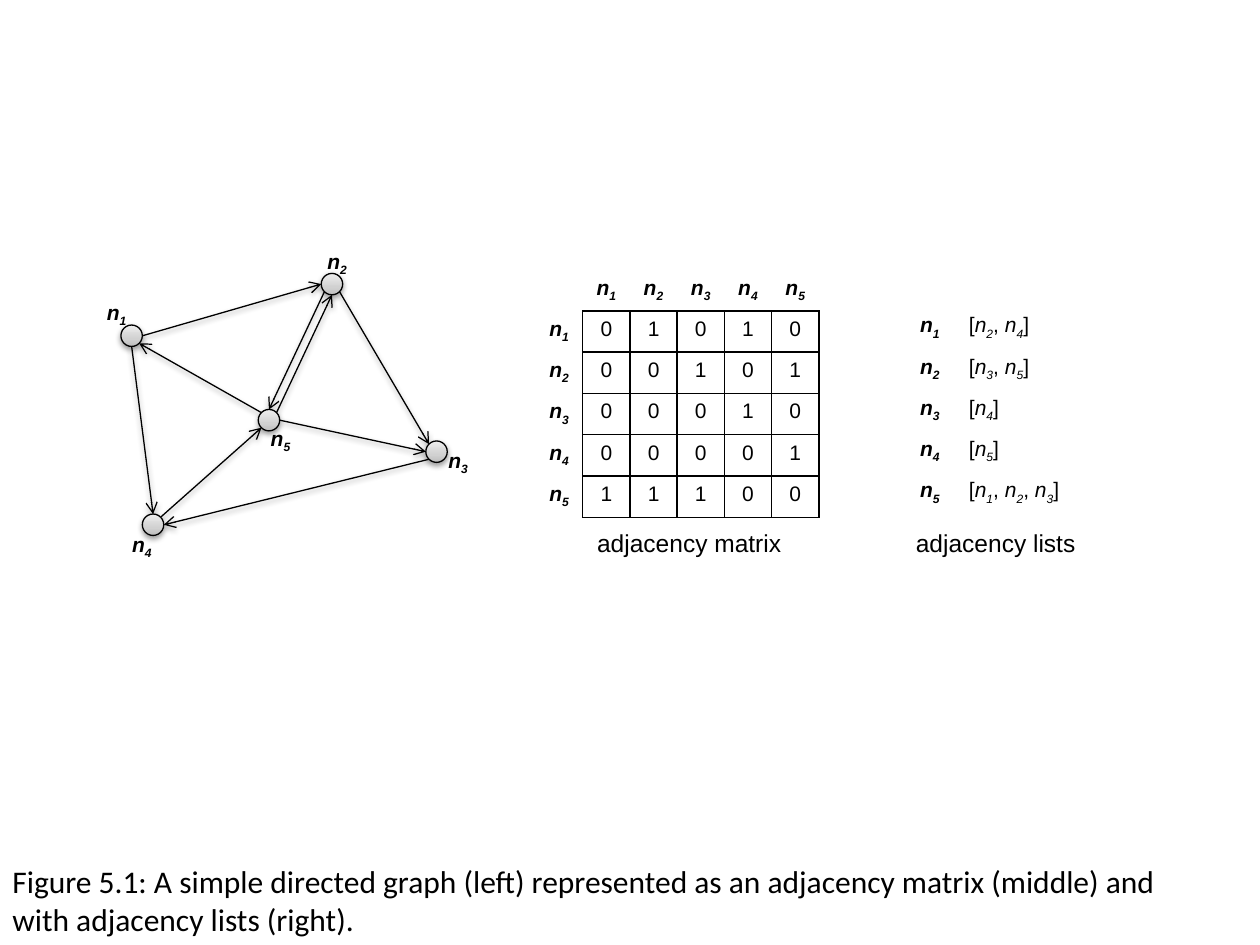
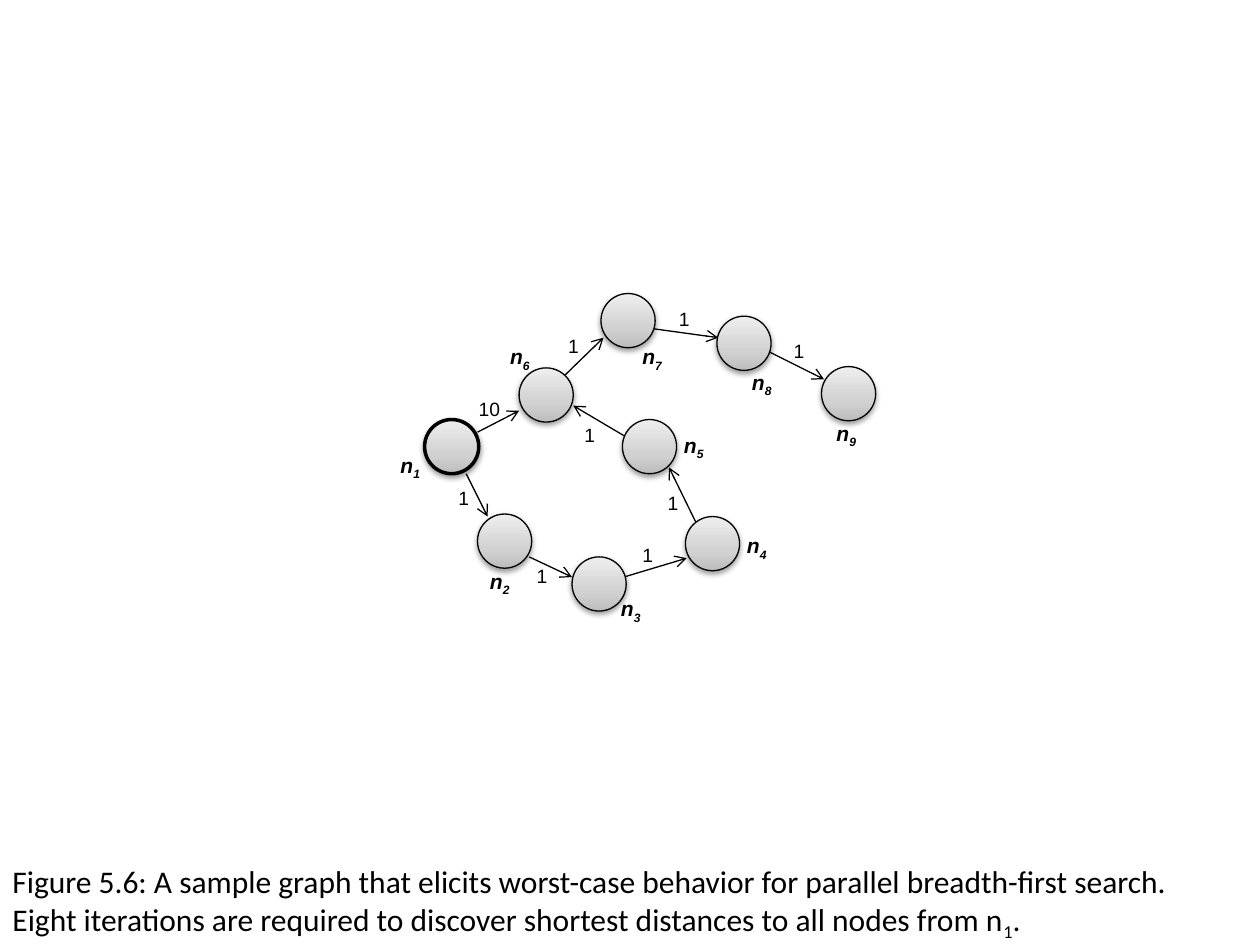
from math import cos, radians, sin

from lxml.etree import SubElement
from pptx import Presentation
from pptx.dml.color import RGBColor
from pptx.enum.shapes import MSO_CONNECTOR, MSO_SHAPE
from pptx.enum.text import MSO_AUTO_SIZE, PP_ALIGN
from pptx.oxml.ns import qn
from pptx.util import Pt

PX = 9144  # 100 px to the inch
COLORS = {"ink": "000000", "low": "BDBDBD", "mid": "D1D1D1", "high": "EEEEEE"}
STYLES = {  # font, size, bold
    "label": ("Arial", 12, True),
    "cell": ("Arial", 12, False),
    "weight": ("Arial", 11, False),
    "title": ("Arial", 14, False),
    "caption": ("Calibri", 18, False),
}
SHADES = [(0, "low"), (35, "mid"), (100, "high")]
NO_GRID = "{2D5ABB26-0587-4C30-8999-92F81FD0307C}"

# In a text, a whole number stands for a subscript.
LINKS = {1: [2, 4], 2: [3, 5], 3: [4], 4: [5], 5: [1, 2, 3]}
SIMPLE = {  # node: left, top, label left, label top
    1: (96, 258, 75, 233),
    2: (255, 217, 250, 192),
    3: (338, 350, 346, 350),
    4: (113, 408, 95, 417),
    5: (205, 325, 205, 333),
}
SITES = {  # (from, to): eighths of a turn from the top, leftwards
    (1, 2): (6, 2), (1, 4): (4, 0), (2, 3): (5, 1),
    (2, 5): (3, 0), (3, 4): (3, 6), (4, 5): (7, 3),
    (5, 1): (1, 5), (5, 2): (7, 4), (5, 3): (6, 2),
}
TITLES = [("adjacency matrix", 464, 169), ("adjacency lists", 717, 148)]
CAPTION1 = [
    ["Figure 5.1: A simple directed graph (left) represented as an adjacency matrix (middle) and"],
    ["with adjacency lists (right)."],
]

WORST = {
    1: (337, 333, 308, 354),
    2: (379, 408, 379, 446),
    3: (454, 442, 483, 468),
    4: (544, 410, 583, 418),
    5: (494, 333, 533, 338),
    6: (412, 292, 395, 268),
    7: (477, 233, 500, 268),
    8: (569, 251, 587, 288),
    9: (652, 291, 654, 329),
}
STEPS = [  # line, weight, weight left, weight top
    ((379, 343, 412, 326), "10", 370, 310),
    ((370, 376, 387, 410), "1", 354, 381),
    ((420, 442, 454, 458), "1", 416, 443),
    ((495, 458, 545, 443), "1", 500, 426),
    ((554, 418, 531, 371), "1", 520, 385),
    ((504, 351, 455, 322), "1", 454, 331),
    ((445, 301, 479, 268), "1", 441, 260),
    ((512, 260, 570, 268), "1", 529, 239),
    ((604, 276, 654, 301), "1", 620, 264),
]
CAPTION2 = [
    ["Figure 5.6: A sample graph that elicits worst-case behavior for parallel breadth-first search."],
    ["Eight iterations are required to discover shortest distances to all nodes from n", 1, "."],
]


def px(*nums):
    return [round(n * PX) for n in nums]


def ink(name):
    return RGBColor.from_string(COLORS[name])


def spell(par, parts, style):
    """Fill a paragraph; numbers become subscripts, node names slant."""
    font = par.font
    font.name, size, font.bold = STYLES[style]
    font.size = Pt(size)
    font.color.rgb = ink("ink")
    for part in parts:
        run = par.add_run()
        run.text = str(part)
        sub = isinstance(part, int)
        run.font.italic = style != "caption" and (sub or part == "n")
        if sub:
            run.font._element.set("baseline", "-25000")
    if not parts:
        SubElement(par._p, qn("a:endParaRPr"), sz=str(size * 100))


def write(canvas, lines, style, *box):
    frame = canvas.add_textbox(*px(*box)).text_frame
    frame.word_wrap = False
    frame.auto_size = MSO_AUTO_SIZE.SHAPE_TO_FIT_TEXT
    for i, parts in enumerate(lines):
        spell(frame.add_paragraph() if i else frame.paragraphs[0], parts, style)


def tint(parent, name):
    return SubElement(parent, qn("a:srgbClr"), val=COLORS[name])


def cast(props, shade):
    """End the shape properties with a soft shadow, or with none."""
    effects = SubElement(props, qn("a:effectLst"))
    if shade:
        drop = SubElement(effects, qn("a:outerShdw"), blurRad="40000", dist="20000",
                          dir="5400000", rotWithShape="0")
        SubElement(tint(drop, "ink"), qn("a:alpha"), val="38000")


def outline(shape, width):
    shape.line.color.rgb = ink("ink")
    shape.line.width = Pt(width)


def arrow(canvas, ends, shade):
    line = canvas.add_connector(MSO_CONNECTOR.STRAIGHT, *px(*ends))
    outline(line, 0.75)
    SubElement(line.line._get_or_add_ln(), qn("a:tailEnd"), type="arrow")
    cast(line.element.spPr, shade)


def circle(canvas, left, top, size, width):
    node = canvas.add_shape(MSO_SHAPE.OVAL, *px(left, top, size, size))
    props = node.element.spPr
    grad = SubElement(props, qn("a:gradFill"), rotWithShape="1")
    stops = SubElement(grad, qn("a:gsLst"))
    for pos, name in SHADES:
        tint(SubElement(stops, qn("a:gs"), pos=str(pos * 1000)), name)
    SubElement(grad, qn("a:lin"), ang="16200000", scaled="0")
    outline(node, width)
    cast(props, True)


def graph(canvas, nodes, lines, size, shade=False, start=None):
    for ends in lines:
        arrow(canvas, ends, shade)
    for num, (left, top, *spot) in nodes.items():
        circle(canvas, left, top, size, 2 if num == start else 0.75)
        write(canvas, [["n", num]], "label", *spot, 37, 30)


def site(num, eighth, size):
    """Point on the rim of a node of the simple graph."""
    turn, half = radians(90 + 45 * eighth), size / 2
    left, top = SIMPLE[num][:2]
    return left + half + half * cos(turn), top + half - half * sin(turn)


def border(cell, sides):
    props = cell._tc.get_or_add_tcPr()
    for side in sides:
        edge = SubElement(props, qn("a:ln" + side), w="12700")
        tint(SubElement(edge, qn("a:solidFill")), "ink")


def grid(canvas, rows, box, heads, sides, align):
    """Add a plain table; heads(r, c) tells labels, sides(r, c) the ruled edges."""
    table = canvas.add_table(len(rows), len(rows[0]), *px(*box)).table
    table.first_row = table.horz_banding = False
    table._tbl.tblPr.find(qn("a:tableStyleId")).text = NO_GRID
    for r, row in enumerate(rows):
        for c, parts in enumerate(row):
            cell = table.cell(r, c)
            par = cell.text_frame.paragraphs[0]
            par.alignment = align[min(c, 1)]
            spell(par, parts, "label" if heads(r, c) else "cell")
            border(cell, sides(r, c))
            cell.fill.background()
    return table


def ruled(r, c):
    return "LRTB" if r and c else "R" if r else "B" if c else ""


def listing(ends):
    parts = ["["]
    for i, end in enumerate(ends):
        parts += ([", "] if i else []) + ["n", end]
    return parts + ["]"]


def tables(canvas):
    matrix = [[[]] + [["n", num] for num in LINKS]]
    for num, ends in LINKS.items():
        matrix.append([["n", num]] + [[str(int(end in ends))] for end in LINKS])
    grid(canvas, matrix, (425, 214, 225, 183), lambda r, c: r == 0 or c == 0,
         ruled, (PP_ALIGN.CENTER, PP_ALIGN.CENTER))

    lists = [[["n", num], listing(ends)] for num, ends in LINKS.items()]
    table = grid(canvas, lists, (717, 244, 159, 153), lambda r, c: c == 0,
                 lambda r, c: "", (PP_ALIGN.CENTER, PP_ALIGN.LEFT))
    for col, width in zip(table.columns, px(42, 117)):
        col.width = width


def main():
    deck = Presentation()
    deck.slide_width, deck.slide_height = px(1000, 750)
    first, second = [deck.slides.add_slide(deck.slide_layouts[6]).shapes for _ in range(2)]

    size = 17
    lines = [site(a, i, size) + site(b, j, size) for (a, b), (i, j) in SITES.items()]
    graph(first, SIMPLE, lines, size, shade=True)
    tables(first)
    for text, left, width in TITLES:
        write(first, [[text]], "title", left, 414, width, 34)
    write(first, CAPTION1, "caption", 0, 679, 939, 71)

    group = second.add_group_shape().shapes
    graph(group, WORST, [step[0] for step in STEPS], 43, start=1)
    for _, text, left, top in STEPS:
        write(group, [[text]], "weight", left, top, 21 + 8 * len(text), 29)
    write(second, CAPTION2, "caption", 0, 679, 948, 71)
    deck.save("out.pptx")


if __name__ == "__main__":
    main()
